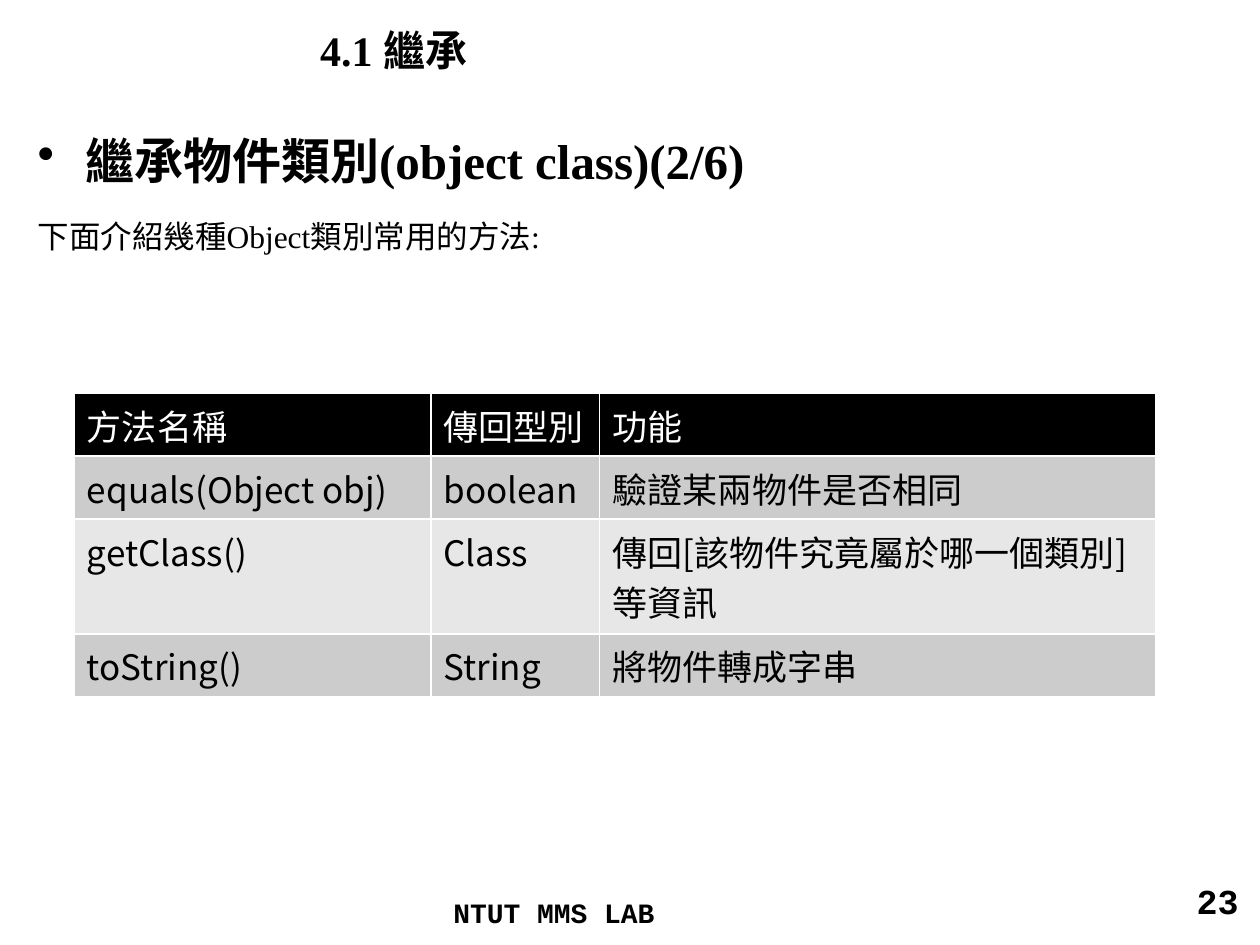
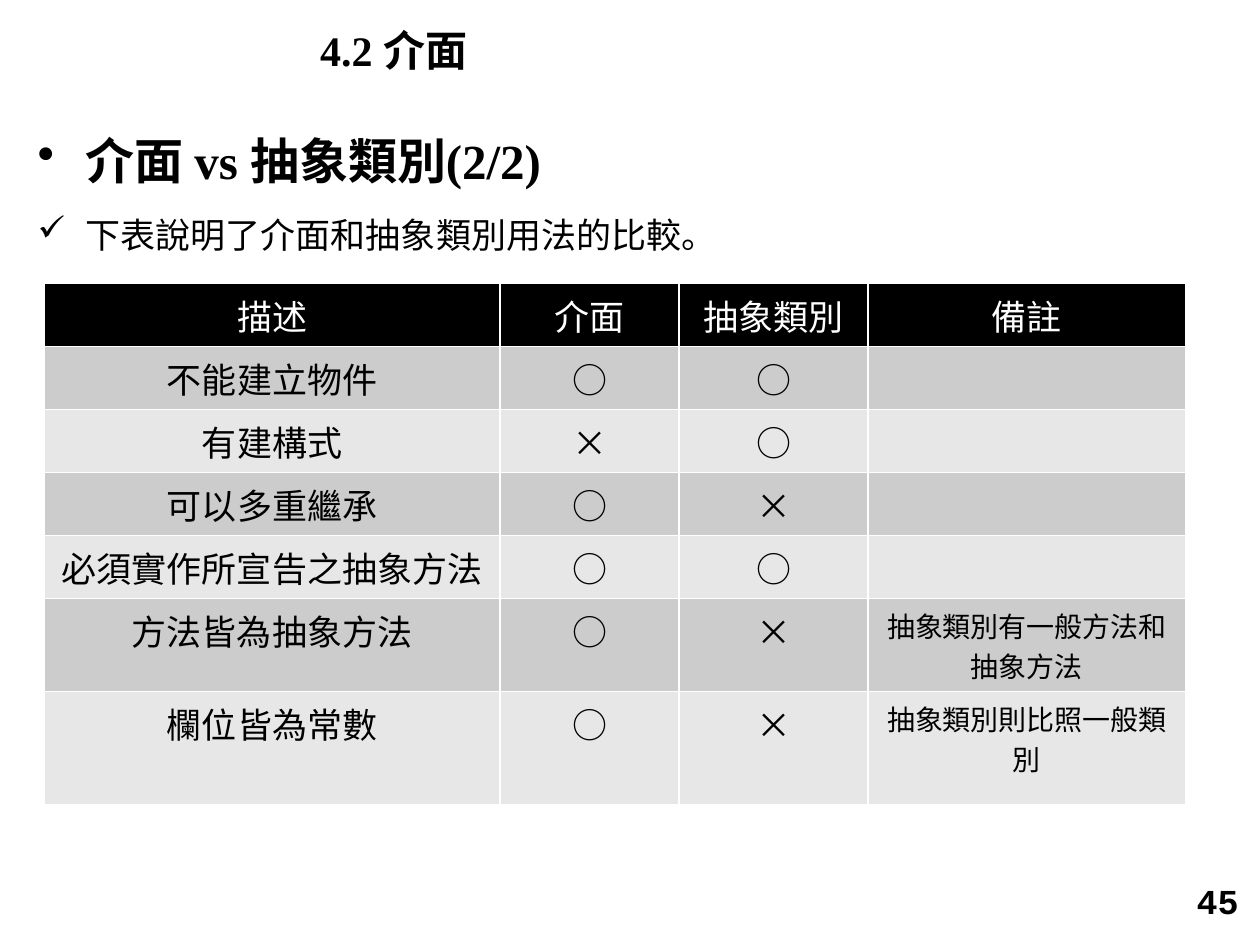
import pptx
import pptx.util
import pptx.dml.color
import pptx.enum.text
import lxml.etree
from pptx.oxml.ns import qn
from pptx.util import Inches, Pt

COLORS = {"text": "000000", "header": "000000", "header_text": "FFFFFF",
          "dark_band": "CCCCCC", "light_band": "E7E7E7", "border": "FFFFFF"}
SERIF, MONO, CJK = "Times New Roman", "Courier New", "Noto Sans CJK SC"
ALIGN = pptx.enum.text.PP_ALIGN

PAGES = [
    {
        "title": "4.1 繼承",
        "body": [("•", "繼承物件類別(object class)(2/6)", 28, True),
                 (None, "下面介紹幾種Object類別常用的方法:", 18, False)],
        "footer": "NTUT MMS LAB",
        "number": "23",
        "table_at": (0.59, 3.12),
        "align": ALIGN.LEFT,
        "columns": [2.83, 1.34, 4.41],
        "heights": [0.5, 0.5, 0.91, 0.5],
        "rows": [
            ["方法名稱", "傳回型別", "功能"],
            ["equals(Object obj)", "boolean", "驗證某兩物件是否相同"],
            ["getClass()", "Class", "傳回[該物件究竟屬於哪一個類別]等資訊"],
            ["toString()", "String", "將物件轉成字串"],
        ],
    },
    {
        "title": "4.2 介面",
        "body": [("•", "介面 vs 抽象類別(2/2)", 28, True),
                 ("✓", "下表說明了介面和抽象類別用法的比較。", 20, False)],
        "footer": None,
        "number": "45",
        "table_at": (0.35, 2.25),
        "align": ALIGN.CENTER,
        "columns": [3.62, 1.42, 1.5, 2.52],
        "heights": [0.5] * 5 + [0.74, 0.9],
        "rows": [
            ["描述", "介面", "抽象類別", "備註"],
            ["不能建立物件", "○", "○", ""],
            ["有建構式", "×", "○", ""],
            ["可以多重繼承", "○", "×", ""],
            ["必須實作所宣告之抽象方法", "○", "○", ""],
            ["方法皆為抽象方法", "○", "×", "抽象類別有一般方法和抽象方法"],
            ["欄位皆為常數", "○", "×", "抽象類別則比照一般類別"],
        ],
    },
]


def add_run(para, text, size, font, bold=False, color="text"):
    span = para.add_run()
    span.text = text
    span.font.size = Pt(size)
    span.font.name = font
    span.font.bold = bold
    span.font.color.rgb = pptx.dml.color.RGBColor.from_string(COLORS[color])
    east_asian = lxml.etree.SubElement(span.font._element, qn("a:ea"))
    east_asian.set("typeface", CJK)


def add_box(slide, left, top, width, height):
    box = slide.shapes.add_textbox(Inches(left), Inches(top), Inches(width), Inches(height))
    box.text_frame.word_wrap = True
    return box.text_frame


deck = pptx.Presentation()
deck.slide_width, deck.slide_height = Inches(10), Inches(7.5)

for page in PAGES:
    slide = deck.slides.add_slide(deck.slide_layouts.get_by_name("Title Only"))

    title = slide.shapes.title
    title.left, title.top = Inches(2.44), Inches(0)
    title.width, title.height = Inches(7.56), Inches(0.79)
    title.text_frame.vertical_anchor = pptx.enum.text.MSO_ANCHOR.MIDDLE
    para = title.text_frame.paragraphs[0]
    para.alignment = ALIGN.LEFT
    add_run(para, page["title"], 24, SERIF, bold=True)

    frame = add_box(slide, 0.2, 0.99, 9.69, 5.82)
    for index, (bullet, text, size, bold) in enumerate(page["body"]):
        para = frame.add_paragraph() if index else frame.paragraphs[0]
        para.alignment = ALIGN.JUSTIFY
        para.line_spacing = Pt(33.6)
        properties = para._p.get_or_add_pPr()
        space_before = lxml.etree.SubElement(properties, qn("a:spcBef"))
        lxml.etree.SubElement(space_before, qn("a:spcPct")).set("val", "20000")
        if bullet:
            properties.set("marL", str(Inches(0.38)))
            properties.set("indent", str(-Inches(0.38)))
            lxml.etree.SubElement(properties, qn("a:buChar")).set("char", bullet)
        add_run(para, text, size, SERIF, bold)

    if page["footer"]:
        frame = add_box(slide, 3.5, 7.06, 3.24, 0.32)
        add_run(frame.paragraphs[0], page["footer"], 16, MONO, bold=True)

    para = add_box(slide, 7.6, 6.93, 2.33, 0.52).paragraphs[0]
    para.alignment = ALIGN.RIGHT
    add_run(para, page["number"], 20, MONO, bold=True)

    left, top = page["table_at"]
    columns, heights, rows = page["columns"], page["heights"], page["rows"]
    table = slide.shapes.add_table(len(rows), len(columns), Inches(left), Inches(top),
                                   Inches(sum(columns)), Inches(sum(heights))).table
    for column, width in zip(table.columns, columns):
        column.width = Inches(width)
    for row, height in zip(table.rows, heights):
        row.height = Inches(height)

    for row_index, texts in enumerate(rows):
        band = "dark_band" if row_index % 2 else "light_band"
        fill, color = (band, "text") if row_index else ("header", "header_text")
        for column_index, text in enumerate(texts):
            cell = table.cell(row_index, column_index)
            properties = cell._tc.get_or_add_tcPr()
            for side in ("lnL", "lnR", "lnT", "lnB"):
                line = lxml.etree.SubElement(properties, qn("a:" + side), w=str(Pt(1)))
                solid = lxml.etree.SubElement(line, qn("a:solidFill"))
                lxml.etree.SubElement(solid, qn("a:srgbClr")).set("val", COLORS["border"])
            cell.fill.solid()
            cell.fill.fore_color.rgb = pptx.dml.color.RGBColor.from_string(COLORS[fill])
            if text:
                para = cell.text_frame.paragraphs[0]
                para.alignment = page["align"]
                is_remark = row_index > 0 and column_index == 3
                add_run(para, text, 16 if is_remark else 20, CJK, color=color)

deck.save("out.pptx")
